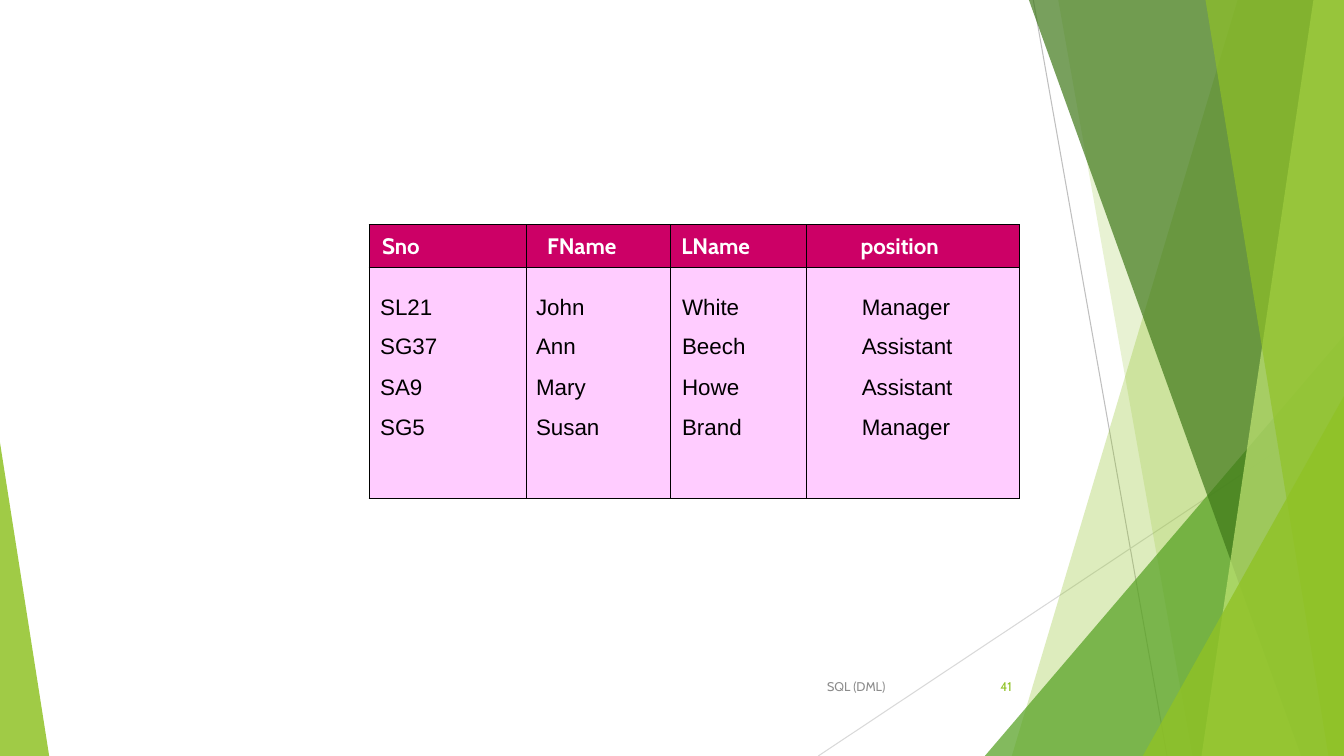
"""Build the staff table slide with its faceted green border."""
import pptx
import pptx.dml.color
import pptx.enum.shapes
import pptx.enum.text
import pptx.oxml
import pptx.oxml.ns
import pptx.util
from pptx.util import Cm

WIDTH, HEIGHT = 33.87, 19.05
LEAF, BLACK, WHITE = "90C226", "000000", "FFFFFF"
STAFF = [
    ("Sno", "FName", "LName", "position"),
    ("SL21", "John", "White", "Manager"),
    ("SG37", "Ann", "Beech", "Assistant"),
    ("SA9", "Mary", "Howe", "Assistant"),
    ("SG5", "Susan", "Brand", "Manager"),
]
COLUMN_WIDTHS = (3.96, 3.63, 3.43, 5.38)
ROW_HEIGHTS = (1.07, 1.57, 1.02, 1.02, 2.21)
HEADER_INSETS = (0.33, 0.53, 0.28, 1.37)
BODY_INSETS = (0.28, 0.25, 0.3, 1.4)


def rgb(colour):
    """Turn a hex string into a colour."""
    return pptx.dml.color.RGBColor.from_string(colour)


def set_font(paragraph, face, size, colour, bold=False):
    """Style all the text of a paragraph."""
    font = paragraph.font
    font.name, font.size, font.bold = face, pptx.util.Pt(size), bold
    font.color.rgb = rgb(colour)


def paint(facet, colour, opacity):
    """Give a facet a translucent fill without line or shadow."""
    facet.shadow.inherit = False
    facet.line.fill.background()
    facet.fill.solid()
    facet.fill.fore_color.rgb = rgb(colour)
    tint = facet.fill._xPr.find(".//" + pptx.oxml.ns.qn("a:srgbClr"))
    alpha = pptx.oxml.parse_xml(f'<a:alpha {pptx.oxml.ns.nsdecls("a")} val="{opacity * 1000}"/>')
    tint.append(alpha)


def add_band(slide, top_left, bottom_left, colour, opacity):
    """Add a facet that runs the full height along the right edge."""
    outline = slide.shapes.build_freeform(Cm(top_left), 0)
    corners = [(WIDTH, 0), (WIDTH, HEIGHT), (bottom_left, HEIGHT)]
    outline.add_line_segments([(Cm(x), Cm(y)) for x, y in corners])
    paint(outline.convert_to_shape(), colour, opacity)


def add_corner(slide, left, top, width, apex, colour, opacity):
    """Add a triangular facet that stands on the bottom edge."""
    triangle = slide.shapes.add_shape(
        pptx.enum.shapes.MSO_SHAPE.ISOSCELES_TRIANGLE,
        Cm(left), Cm(top), Cm(width), Cm(HEIGHT - top))
    triangle.adjustments[0] = apex
    paint(triangle, colour, opacity)


def add_hairline(slide, start, end, colour):
    """Add a thin straight line."""
    hairline = slide.shapes.add_connector(
        pptx.enum.shapes.MSO_CONNECTOR.STRAIGHT, *map(Cm, start + end))
    hairline.line.color.rgb = rgb(colour)
    hairline.line.width = pptx.util.Pt(0.75)
    effects = pptx.oxml.parse_xml(f'<a:effectLst {pptx.oxml.ns.nsdecls("a")}/>')
    hairline._element.spPr.append(effects)


def add_footer(slide, words, left, width, colour):
    """Add a right-aligned footer text."""
    frame = slide.shapes.add_textbox(Cm(left), Cm(16.79), Cm(width), Cm(1.02)).text_frame
    frame.word_wrap = True
    frame.vertical_anchor = pptx.enum.text.MSO_ANCHOR.MIDDLE
    footer = frame.paragraphs[0]
    footer.text = words
    footer.alignment = pptx.enum.text.PP_ALIGN.RIGHT
    set_font(footer, "Cabin", 9, colour)


def set_borders(cell, drawn_sides):
    """Draw the named sides of a cell and clear the others."""
    for side in "LRTB":
        colour = f'<a:solidFill><a:srgbClr val="{BLACK}"/></a:solidFill>'
        border = colour if side in drawn_sides else "<a:noFill/>"
        cell._tc.get_or_add_tcPr().append(pptx.oxml.parse_xml(
            f'<a:ln{side} {pptx.oxml.ns.nsdecls("a")} w="9525">{border}</a:ln{side}>'))


def fill_cell(cell, words, row, column):
    """Write and style one cell of the staff table."""
    header = row == 0
    top = "T" if row < 2 else ""
    bottom = "B" if row in (0, len(STAFF) - 1) else ""
    set_borders(cell, "LR" + top + bottom)
    cell.fill.solid()
    cell.fill.fore_color.rgb = rgb("CC0066" if header else "FFCCFF")
    cell.margin_left = Cm((HEADER_INSETS if header else BODY_INSETS)[column])
    cell.margin_top = Cm(0.71 if row == 1 else 0.13)
    cell.margin_bottom = Cm(0.1)
    anchors = pptx.enum.text.MSO_ANCHOR
    cell.vertical_anchor = anchors.MIDDLE if header else anchors.TOP
    cell.text = words
    set_font(cell.text_frame.paragraphs[0], "Cabin" if header else "Arial", 16,
             WHITE if header else BLACK, header)


def add_staff_table(slide):
    """Add the table of staff names and positions."""
    staff = slide.shapes.add_table(
        len(STAFF), len(COLUMN_WIDTHS), Cm(9.3), Cm(5.66),
        Cm(sum(COLUMN_WIDTHS)), Cm(sum(ROW_HEIGHTS))).table
    staff.first_row = staff.horz_banding = False
    for column, width in zip(staff.columns, COLUMN_WIDTHS):
        column.width = Cm(width)
    for row, height in zip(staff.rows, ROW_HEIGHTS):
        row.height = Cm(height)
    for row, record in enumerate(STAFF):
        for column, words in enumerate(record):
            fill_cell(staff.cell(row, column), words, row, column)


def add_facets(slide):
    """Add the overlapping green facets and their hairlines."""
    add_hairline(slide, (26.04, 0), (29.41, HEIGHT), "BFBFBF")
    add_hairline(slide, (WIDTH, 10.24), (20.62, HEIGHT), "D9D9D9")
    add_band(slide, 31.19, 25.5, LEAF, 30)
    add_band(slide, 26.67, 30.05, LEAF, 20)
    add_corner(slide, 24.82, 8.46, 9.05, 1, "54A021", 72)
    add_band(slide, 25.93, 32.79, "3F7819", 70)
    add_band(slide, 33.1, 30.28, "C0E474", 70)
    add_band(slide, 30.38, 33.48, LEAF, 65)
    add_corner(slide, 28.8, 9.98, 5.07, 1, LEAF, 80)
    add_corner(slide, 0, 11.15, 1.24, 0, LEAF, 85)


def main():
    """Build and save the slide."""
    deck = pptx.Presentation()
    deck.slide_width, deck.slide_height = Cm(WIDTH), Cm(HEIGHT)
    slide = deck.slides.add_slide(deck.slide_layouts[6])
    add_facets(slide)
    add_footer(slide, "SQL (DML)", 20.02, 2.54, "8C8C8C")
    add_footer(slide, "41", 23.85, 1.9, LEAF)
    add_staff_table(slide)
    deck.save("out.pptx")


if __name__ == "__main__":
    main()
